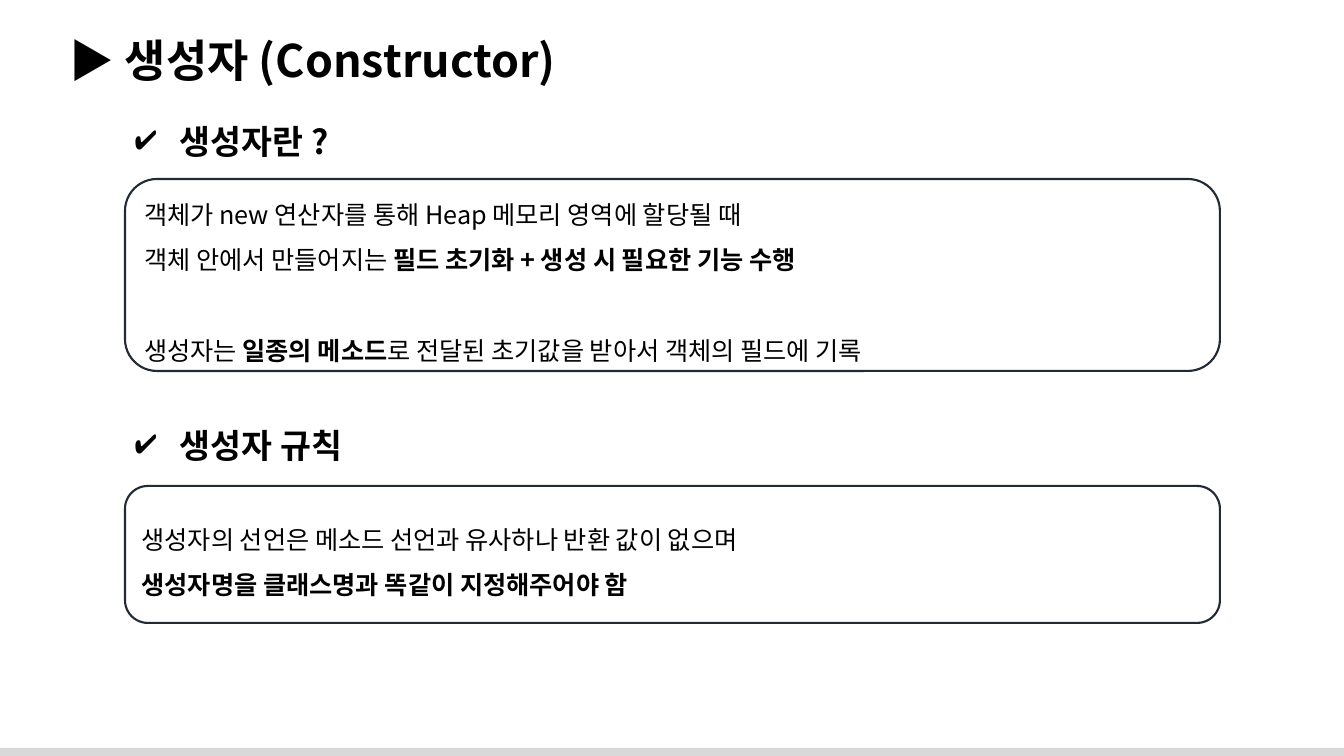
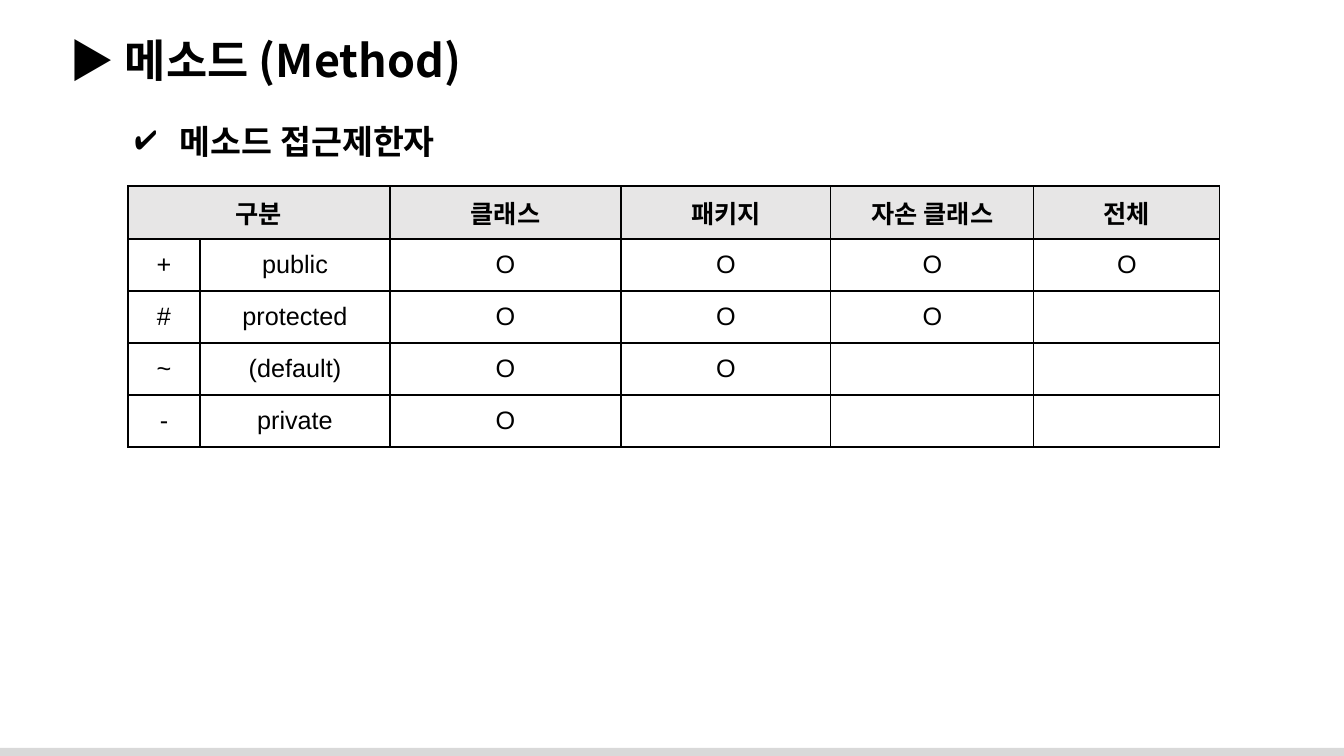
import lxml.etree
import pptx
import pptx.dml.color
import pptx.enum.shapes
import pptx.enum.text
import pptx.oxml.ns
import pptx.util

BLACK = pptx.dml.color.RGBColor(0x00, 0x00, 0x00)
NAVY = pptx.dml.color.RGBColor(0x22, 0x2A, 0x35)
BAND_GREY = pptx.dml.color.RGBColor(0xD9, 0xD9, 0xD9)
HEADER_GREY = pptx.dml.color.RGBColor(0xE7, 0xE6, 0xE6)
KOREAN_FONT = "Noto Sans CJK KR"
TABLE_FONT = "Arial"
SLIDE_W, SLIDE_H = 1344, 756
CONTENT_X, CONTENT_W = 125, 1095
SHAPE = pptx.enum.shapes.MSO_SHAPE
ALIGN = pptx.enum.text.PP_ALIGN
MIDDLE = pptx.enum.text.MSO_ANCHOR.MIDDLE


def px(n):
    return pptx.util.Emu(round(n * 914400 / 100.8))


def box_px(*lengths):
    return [px(n) for n in lengths]


def sub(parent, tag, **attrs):
    el = lxml.etree.SubElement(parent, pptx.oxml.ns.qn(tag))
    for name, value in attrs.items():
        el.set(name, str(value))
    return el


def add_run(p, text, size, bold=False, font=KOREAN_FONT):
    r = p.add_run()
    r.text = text
    r.font.size = pptx.util.Pt(size)
    r.font.bold = bold
    r.font.color.rgb = BLACK
    r.font.name = font
    sub(r._r.get_or_add_rPr(), "a:ea", typeface=KOREAN_FONT)


def add_shape(s, kind, box):
    sp = s.shapes.add_shape(kind, *box_px(*box))
    sp.shadow.inherit = False
    return sp


# Shared frame: bottom band and title
def base_slide(prs, title):
    s = prs.slides.add_slide(prs.slide_layouts[6])
    band = add_shape(s, SHAPE.RECTANGLE, (0, SLIDE_H - 8, SLIDE_W, 8))
    band.fill.solid()
    band.fill.fore_color.rgb = BAND_GREY
    band.line.fill.background()
    tf = s.shapes.add_textbox(*box_px(60, 28, 1270, 65)).text_frame
    tf.word_wrap = True
    add_run(tf.paragraphs[0], "▶ " + title, 32, bold=True)
    return s


# Check-marked section heading
def add_heading(s, y, text):
    tf = s.shapes.add_textbox(*box_px(CONTENT_X, y, CONTENT_W, 50)).text_frame
    tf.word_wrap = True
    p = tf.paragraphs[0]
    pPr = p._p.get_or_add_pPr()
    pPr.set("marL", str(px(45)))
    pPr.set("indent", str(-px(45)))
    sub(sub(pPr, "a:buClr"), "a:srgbClr", val=BLACK)
    sub(pPr, "a:buChar", char="✔")
    add_run(p, text, 24, bold=True)


# Rounded panel: each line is (space before in points, [(text, bold), ...])
def add_panel(s, y, h, lines):
    sp = add_shape(s, SHAPE.ROUNDED_RECTANGLE, (CONTENT_X, y, CONTENT_W, h))
    sp.fill.background()
    sp.line.color.rgb = NAVY
    sp.line.width = pptx.util.Pt(1.5)
    tf = sp.text_frame
    tf.vertical_anchor = MIDDLE
    for i, (gap, runs) in enumerate(lines):
        p = tf.add_paragraph() if i else tf.paragraphs[0]
        p.alignment = ALIGN.LEFT
        p.line_spacing = 1.5
        if gap:
            p.space_before = pptx.util.Pt(gap)
        for text, bold in runs:
            add_run(p, text, 18, bold)


def style_cell(cell, header):
    cell.vertical_anchor = MIDDLE
    tcPr = cell._tc.get_or_add_tcPr()
    for side in ("a:lnL", "a:lnR", "a:lnT", "a:lnB"):
        ln = sub(tcPr, side, w=pptx.util.Pt(1))
        sub(sub(ln, "a:solidFill"), "a:srgbClr", val=BLACK)
    if header:
        cell.fill.solid()
        cell.fill.fore_color.rgb = HEADER_GREY
    else:
        cell.fill.background()


# Grid whose first header cell spans two columns
def add_grid(s, x, y, widths, heights, rows):
    frame = s.shapes.add_table(len(rows), len(widths),
                               *box_px(x, y, sum(widths), sum(heights)))
    table = frame.table
    table.first_row = table.horz_banding = False
    for col, w in zip(table.columns, widths):
        col.width = px(w)
    for i, (row, h, texts) in enumerate(zip(table.rows, heights, rows)):
        row.height = px(h)
        for cell, text in zip(row.cells, texts):
            style_cell(cell, header=i == 0)
            if text:
                p = cell.text_frame.paragraphs[0]
                p.alignment = ALIGN.CENTER
                add_run(p, text, 18, bold=i == 0, font=TABLE_FONT)
    table.cell(0, 0).merge(table.cell(0, 1))


def constructor_slide(prs):
    s = base_slide(prs, "생성자 (Constructor)")
    add_heading(s, 116, "생성자란 ?")
    add_panel(s, 179, 192, [
        (0, [("객체가 new 연산자를 통해 Heap 메모리 영역에 할당될 때", False)]),
        (0, [("객체 안에서 만들어지는 ", False),
             ("필드 초기화 + 생성 시 필요한 기능 수행", True)]),
        (32.5, [("생성자는 ", False), ("일종의 메소드", True),
                ("로 전달된 초기값을 받아서 객체의 필드에 기록", False)]),
    ])
    add_heading(s, 420, "생성자 규칙")
    add_panel(s, 486, 137, [
        (0, [("생성자의 선언은 메소드 선언과 유사하나 반환 값이 없으며", False)]),
        (0, [("생성자명을 클래스명과 똑같이 지정해주어야 함", True)]),
    ])


def method_slide(prs):
    s = base_slide(prs, "메소드 (Method)")
    add_heading(s, 116, "메소드 접근제한자")
    modifiers = [("+", "public", 4), ("#", "protected", 3),
                 ("~", "(default)", 2), ("-", "private", 1)]
    rows = [["구분", "", "클래스", "패키지", "자손 클래스", "전체"]]
    for sign, name, scopes in modifiers:
        rows.append([sign, name] + ["O"] * scopes + [""] * (4 - scopes))
    add_grid(s, 128, 186, [72, 190, 231, 210, 203, 186], [53] + [52] * 4, rows)


def main():
    prs = pptx.Presentation()
    prs.slide_width, prs.slide_height = px(SLIDE_W), px(SLIDE_H)
    constructor_slide(prs)
    method_slide(prs)
    prs.save("out.pptx")


if __name__ == "__main__":
    main()
